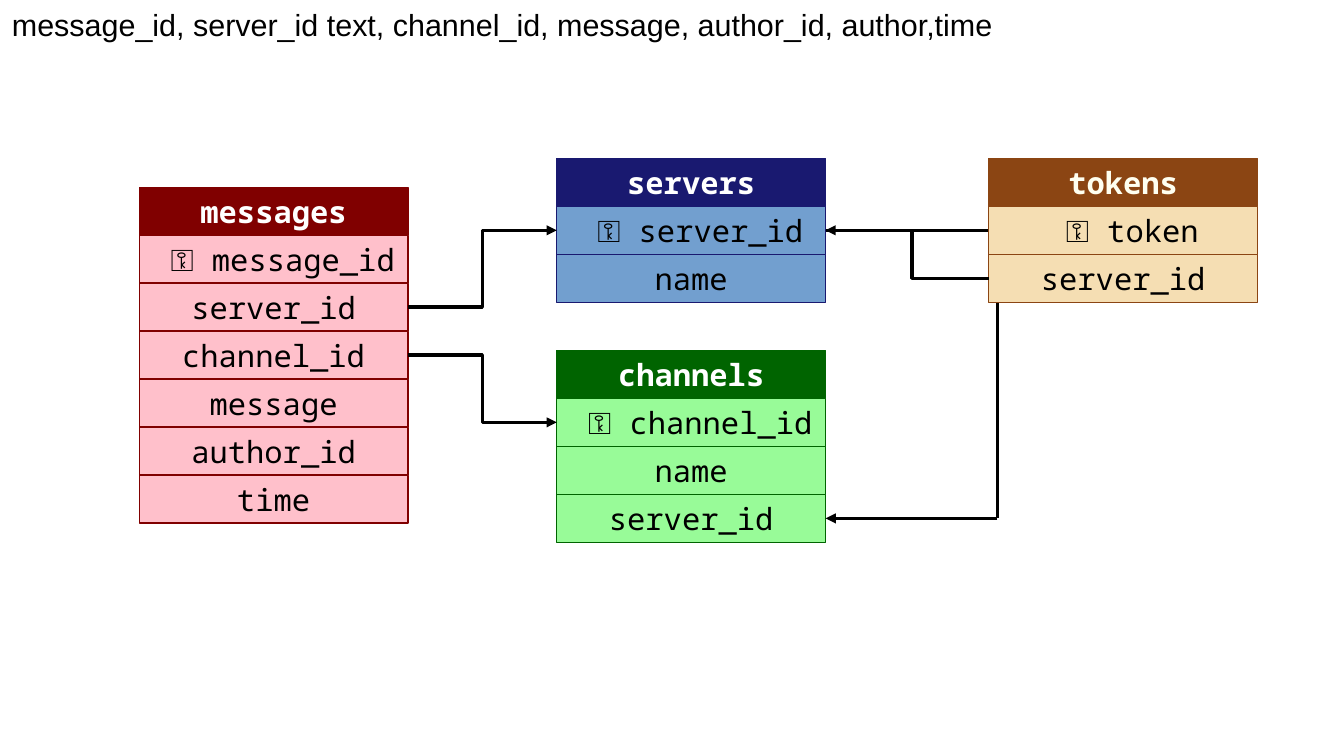
import pptx
import pptx.util
import pptx.oxml
from pptx.dml.color import RGBColor
from pptx.enum.shapes import MSO_CONNECTOR, MSO_SHAPE
from pptx.enum.text import MSO_ANCHOR, MSO_AUTO_SIZE, PP_ALIGN
from pptx.oxml.ns import qn

# Grid: one unit is a centimetre, which is also the height of a table row
UNIT = pptx.util.Cm(1)
SLIDE_COLUMNS, SLIDE_ROWS = 28, 15.75
TABLE_WIDTH = 5.6
LEFT, MIDDLE, RIGHT = 2.9, 11.6, 20.6

BLACK = RGBColor(0x00, 0x00, 0x00)
WHITE = RGBColor(0xFF, 0xFF, 0xFF)
IVORY = RGBColor(0xFF, 0xFF, 0xF0)
NAVY = RGBColor(0x19, 0x19, 0x70)
BLUE = RGBColor(0x72, 0x9F, 0xCF)
DARK_GREEN = RGBColor(0x00, 0x64, 0x00)
PALE_GREEN = RGBColor(0x98, 0xFB, 0x98)
MAROON = RGBColor(0x80, 0x00, 0x00)
PINK = RGBColor(0xFF, 0xC0, 0xCB)
BROWN = RGBColor(0x8B, 0x45, 0x13)
WHEAT = RGBColor(0xF5, 0xDE, 0xB3)


def grid(*values):
    """Turn grid units into lengths."""
    return [round(value * UNIT) for value in values]


def write_text(shape, text, font="Noto Sans Mono", size=18, color=BLACK,
               bold=False, align=PP_ALIGN.CENTER, anchor=MSO_ANCHOR.MIDDLE,
               wrap=False):
    frame = shape.text_frame
    frame.word_wrap = wrap
    frame.vertical_anchor = anchor
    paragraph = frame.paragraphs[0]
    paragraph.alignment = align
    run = paragraph.add_run()
    run.text = text
    run.font.name = font
    run.font.size = pptx.util.Pt(size)
    run.font.bold = bold
    run.font.color.rgb = color


def add_row(slide, left, top, text, fill, border, **text_format):
    shape = slide.shapes.add_shape(
        MSO_SHAPE.RECTANGLE, *grid(left, top, TABLE_WIDTH, 1))
    shape.shadow.inherit = False
    shape.fill.solid()
    shape.fill.fore_color.rgb = fill
    shape.line.color.rgb = border
    shape.line.width = pptx.util.Pt(0)
    write_text(shape, text, **text_format)


def add_entity(slide, left, top, name, fields, dark, light, name_color=WHITE):
    """Draw a database table: a dark name row above its light fields."""
    add_row(slide, left, top, name, dark, dark, color=name_color, bold=True)
    for index, field in enumerate(fields, start=1):
        add_row(slide, left, top + index, field, light, dark)


def add_link(slide, start, end, kind=MSO_CONNECTOR.ELBOW, bend=None, arrow=True):
    """Join two grid points; bend is the elbow's share of the width."""
    connector = slide.shapes.add_connector(kind, *grid(*start, *end))
    connector.line.color.rgb = BLACK
    connector.line.width = pptx.util.Pt(0)
    properties = connector._element.spPr
    pptx.oxml.xmlchemy.OxmlElement  # element factory used below
    if arrow:
        tail = pptx.oxml.xmlchemy.OxmlElement("a:tailEnd")
        tail.set("type", "triangle")
        connector.line._get_or_add_ln().append(tail)
    if bend is not None:
        guide = pptx.oxml.xmlchemy.OxmlElement("a:gd")
        guide.set("name", "adj1")
        guide.set("fmla", f"val {round(bend * 100000)}")
        properties.find(qn("a:prstGeom")).get_or_add_avLst().append(guide)
    properties.append(pptx.oxml.xmlchemy.OxmlElement("a:effectLst"))


def add_route(slide, *points):
    """Join several grid points by straight links, with an arrow at the last."""
    for start, end in zip(points, points[1:]):
        add_link(slide, start, end, kind=MSO_CONNECTOR.STRAIGHT,
                 arrow=end == points[-1])


def main():
    presentation = pptx.Presentation()
    presentation.slide_width, presentation.slide_height = grid(
        SLIDE_COLUMNS, SLIDE_ROWS)
    slide = presentation.slides.add_slide(presentation.slide_layouts[6])

    # Servers and channels
    middle_right = MIDDLE + TABLE_WIDTH
    add_entity(slide, MIDDLE, 3.3, "servers", [" ⚿ server_id", "name"],
               NAVY, BLUE)
    add_entity(slide, MIDDLE, 7.3, "channels",
               [" ⚿ channel_id", "name", "server_id"], DARK_GREEN, PALE_GREEN)

    # Servers to channels, passing behind the tokens
    add_route(slide, (middle_right, 4.8), (20.78, 4.8), (20.78, 10.8),
              (middle_right, 10.8))

    # Column list
    note = slide.shapes.add_textbox(*grid(0, 0, 23, 1.68))
    write_text(note, "message_id, server_id text, channel_id, message, "
               "author_id, author,time", font="Arial", align=PP_ALIGN.LEFT,
               anchor=MSO_ANCHOR.TOP, wrap=True)
    note.text_frame.auto_size = MSO_AUTO_SIZE.SHAPE_TO_FIT_TEXT

    # Messages and their references
    add_entity(slide, LEFT, 3.9, "messages",
               [" ⚿ message_id", "server_id", "channel_id", "message",
                "author_id", "time"], MAROON, PINK)
    left_right = LEFT + TABLE_WIDTH
    add_link(slide, (left_right, 6.4), (MIDDLE, 4.8))
    add_link(slide, (left_right, 7.4), (MIDDLE, 8.8))

    # Tokens and their reference
    add_entity(slide, RIGHT, 3.3, "tokens", [" ⚿ token", "server_id"],
               BROWN, WHEAT, name_color=IVORY)
    add_link(slide, (RIGHT, 5.8), (middle_right, 4.8), bend=0.47)

    presentation.save("out.pptx")


if __name__ == "__main__":
    main()
